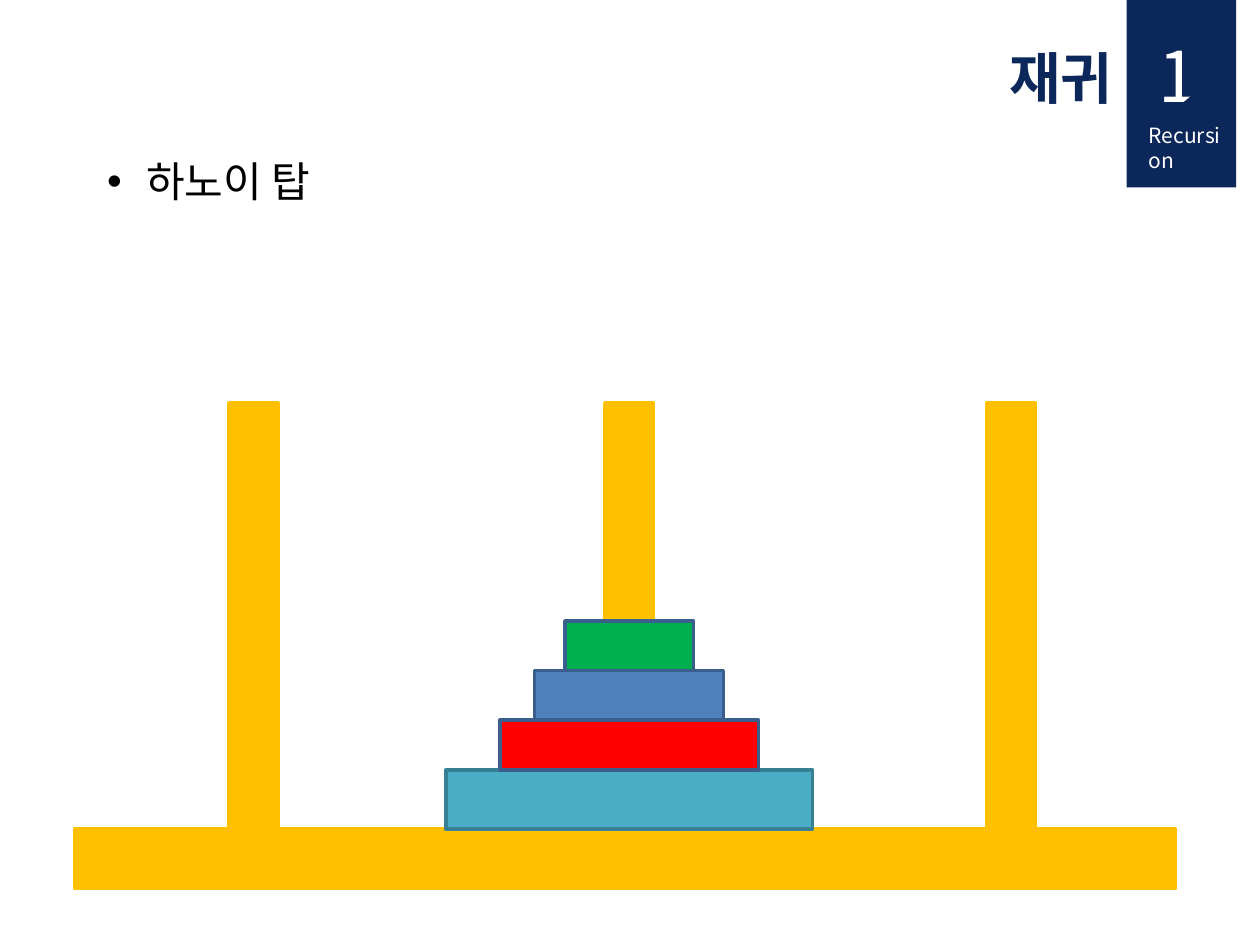
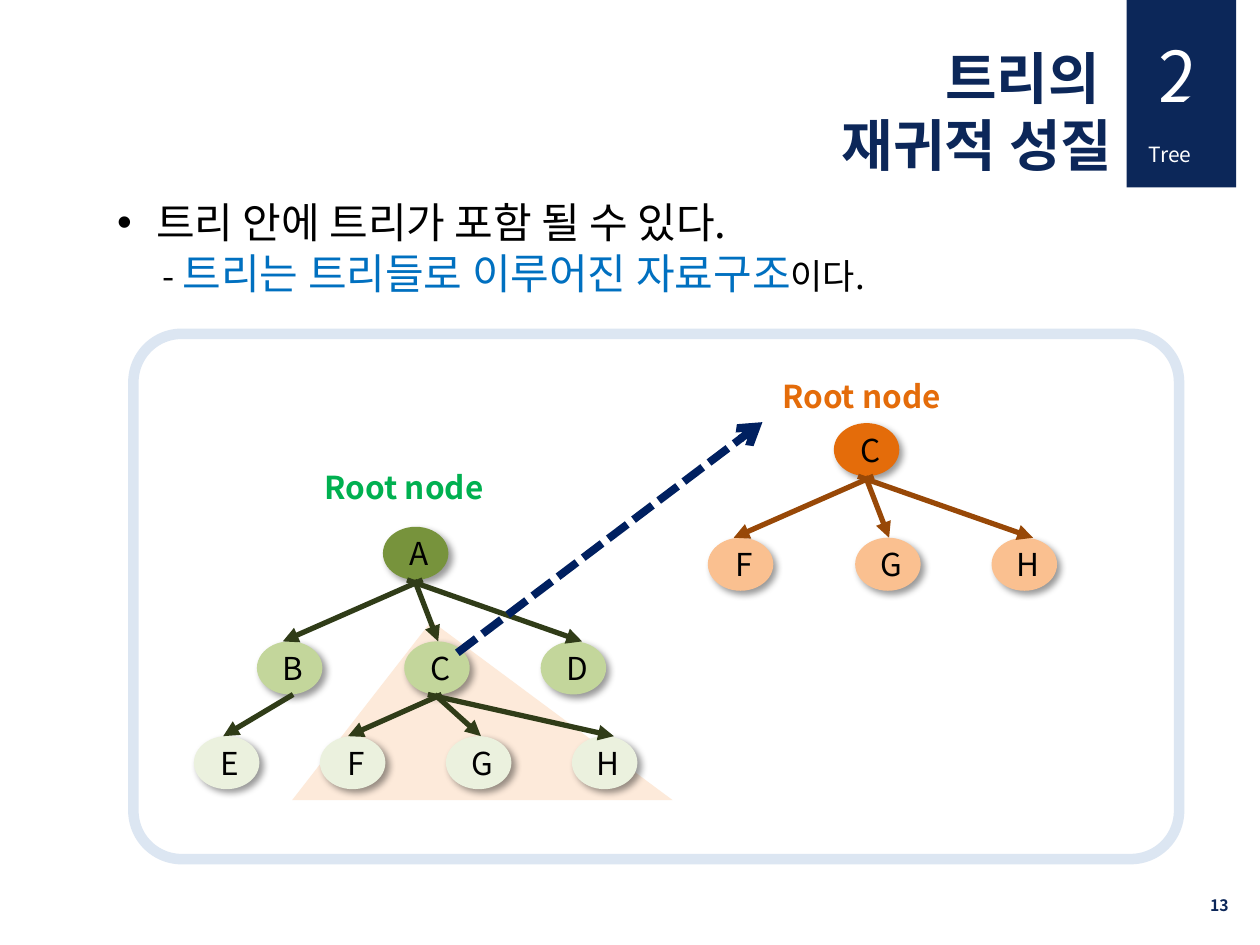
from lxml import etree
from pptx import Presentation
from pptx import util as u
from pptx.dml.color import RGBColor
from pptx.enum import dml, shapes, text
from pptx.oxml.ns import qn

FONT = "Noto Sans CJK KR"
NAVY, WHITE, BLACK, WOOD = "0C2759", "FFFFFF", "000000", "FFC000"
GREEN_ARROW, ORANGE_ARROW = "303C18", "984807"
OLIVE, LEAF, PALE = "77933C", "C3D69B", "EBF1DE"
ORANGE, PEACH = "E46C0A", "FAC090"
NODE_WIDTH, NODE_HEIGHT = 1.32, 1.07
ARROW_SPREAD = 0.055
ALIGN = text.PP_ALIGN


def colour(hex_value):
    """Turn a hex string into a colour."""
    return RGBColor.from_string(hex_value)


def add_run(paragraph, words, size, hex_value, bold=False):
    """Append one formatted run to a paragraph."""
    run = paragraph.add_run()
    run.text = words
    run.font.size = u.Pt(size)
    run.font.bold = bold
    run.font.name = FONT
    run.font.color.rgb = colour(hex_value)
    etree.SubElement(run.font._element, qn("a:ea"), typeface=FONT)


def next_paragraph(frame, index):
    """Return the first paragraph of a frame, or a new one after it."""
    return frame.add_paragraph() if index else frame.paragraphs[0]


def add_shape(slide, kind, box, fill=None, line=None, line_width=2):
    """Add a preset shape without shadow in a box given in centimetres."""
    shape = slide.shapes.add_shape(kind, *map(u.Cm, box))
    shape.shadow.inherit = False
    if fill:
        shape.fill.solid()
        shape.fill.fore_color.rgb = colour(fill)
    else:
        shape.fill.background()
    if line:
        shape.line.color.rgb = colour(line)
        shape.line.width = u.Pt(line_width)
    else:
        shape.line.fill.background()
    return shape


def add_text(slide, box, words, size, hex_value, bold=False, align=ALIGN.LEFT, wrap=True):
    """Add a one-paragraph text box and return its frame."""
    frame = slide.shapes.add_textbox(*map(u.Cm, box)).text_frame
    frame.word_wrap = wrap
    frame.paragraphs[0].alignment = align
    add_run(frame.paragraphs[0], words, size, hex_value, bold)
    return frame


def add_arrow(slide, start, end, hex_value, width=3, head="triangle", dash=None):
    """Draw a straight arrow between two points in centimetres."""
    connector = slide.shapes.add_connector(
        shapes.MSO_CONNECTOR.STRAIGHT, *map(u.Cm, (*start, *end)))
    connector.line.color.rgb = colour(hex_value)
    connector.line.width = u.Pt(width)
    if dash:
        connector.line.dash_style = dash
    etree.SubElement(connector.line._get_or_add_ln(), qn("a:tailEnd"), type=head)
    etree.SubElement(connector._element.spPr, qn("a:effectLst"))


def add_title(slide, box, lines):
    """Place and format the right-aligned title."""
    title = slide.shapes.title
    title.left, title.top, title.width, title.height = map(u.Cm, box)
    frame = title.text_frame
    frame.word_wrap = True
    frame.auto_size = text.MSO_AUTO_SIZE.NONE
    frame.vertical_anchor = text.MSO_ANCHOR.TOP
    for index, words in enumerate(lines):
        paragraph = next_paragraph(frame, index)
        paragraph.alignment = ALIGN.RIGHT
        add_run(paragraph, words, 32, NAVY, True)


def add_chapter_tab(slide, left, number, label, label_top):
    """Draw the navy corner tab with its clipped number and label."""
    add_shape(slide, shapes.MSO_SHAPE.RECTANGLE, (left, 0, 2.21, 3.78), NAVY)
    add_text(slide, (left + 0.4, 0.53, 1.6, 1.96), number, 40, WHITE)
    corner = add_shape(slide, shapes.MSO_SHAPE.ISOSCELES_TRIANGLE,
                       (left + 0.61, 1.52, 1.19, 0.99), NAVY)
    corner.adjustments[0] = 1
    add_text(slide, (left + 0.2, label_top, 2.01, 1.27), label, 12, WHITE,
             align=ALIGN.JUSTIFY)


def add_body(slide, box, paragraphs):
    """Add body paragraphs, each given as bullet, margin, indent and runs."""
    frame = slide.shapes.add_textbox(*map(u.Cm, box)).text_frame
    frame.word_wrap = True
    for index, (bullet, margin, indent, runs) in enumerate(paragraphs):
        paragraph = next_paragraph(frame, index)
        properties = paragraph._p.get_or_add_pPr()
        properties.set("marL", str(u.Cm(margin)))
        properties.set("indent", str(u.Cm(indent)))
        if bullet:
            etree.SubElement(properties, qn("a:buFont"), typeface="Arial")
            etree.SubElement(properties, qn("a:buChar"), char=bullet)
        for run in runs:
            add_run(paragraph, *run)


def add_hanoi(slide, left, top):
    """Draw three pegs on a board with the disks stacked on the middle peg."""
    rectangle = shapes.MSO_SHAPE.RECTANGLE
    peg_width, board_top = 0.99, top + 8.58
    for offset in (3.12, 10.69, 18.39):
        add_shape(slide, rectangle, (left + offset, top, peg_width, 9.19), WOOD, WOOD)
    add_shape(slide, rectangle, (left, board_top, 22.2, 1.19), WOOD, WOOD)
    centre = left + 10.69 + peg_width / 2
    disk_top = board_top
    disks = ((7.39, 1.19, "4BACC6", "377F92"), (5.21, 1, "FF0000", "3A5F8C"),
             (3.81, 1, "4F81BD", "3A5F8C"), (2.59, 1, "00B050", "3A5F8C"))
    for width, height, fill, line in disks:
        disk_top -= height
        add_shape(slide, rectangle, (centre - width / 2, disk_top, width, height), fill, line)


def add_node(slide, left, top, letter, fill):
    """Draw a round tree node with a soft shadow."""
    node = add_shape(slide, shapes.MSO_SHAPE.OVAL, (left, top, NODE_WIDTH, NODE_HEIGHT), fill)
    effects = node._element.spPr.find(qn("a:effectLst"))
    shadow = etree.SubElement(effects, qn("a:outerShdw"), blurRad=str(u.Pt(4)),
                              dist=str(u.Pt(3)), dir="2700000", algn="tl", rotWithShape="0")
    tint = etree.SubElement(shadow, qn("a:srgbClr"), val=BLACK)
    etree.SubElement(tint, qn("a:alpha"), val="40000")
    frame = node.text_frame
    frame.word_wrap = False
    frame.vertical_anchor = text.MSO_ANCHOR.MIDDLE
    frame.paragraphs[0].alignment = ALIGN.CENTER
    add_run(frame.paragraphs[0], " " + letter, 18, BLACK)


def add_tree(slide, left, top, nodes, edges, arrow_colour):
    """Draw nodes at offsets from the root and arrows from parent to child."""
    for letter, (across, down, fill) in nodes.items():
        add_node(slide, left + across, top + down, letter, fill)
    for parent, child in edges:
        parent_x, parent_y, _ = nodes[parent]
        child_x, child_y, _ = nodes[child]
        shift = ARROW_SPREAD * (child_x - parent_x)
        middle = left + NODE_WIDTH / 2
        add_arrow(slide, (middle + parent_x - shift, top + parent_y + NODE_HEIGHT),
                  (middle + child_x + shift, top + child_y), arrow_colour)


def branch(root, children, root_fill, child_fill):
    """Return the nodes of a root with three children below it."""
    nodes = {root: (0, 0, root_fill)}
    for letter, across in zip(children, (-2.54, 0.43, 3.18)):
        nodes[letter] = (across, 2.31, child_fill)
    return nodes


def add_tree_panel(slide, left, top):
    """Draw the framed panel with the full tree and the subtree taken out of it."""
    subtree = add_shape(slide, shapes.MSO_SHAPE.ISOSCELES_TRIANGLE,
                        (left + 3.2, top + 5.79, 7.67, 3.61), "FDEADA")
    subtree.adjustments[0] = 0.366
    frame = add_shape(slide, shapes.MSO_SHAPE.ROUNDED_RECTANGLE,
                      (left, top, 21.08, 10.59), line="DCE6F2", line_width=6)
    frame.adjustments[0] = 0.092
    nodes = branch("A", "BCD", OLIVE, LEAF)
    for index, letter in enumerate("EFGH"):
        nodes[letter] = (2.54 * index - 3.81, 4.22, PALE)
    add_tree(slide, left + 5.03, top + 3.89, nodes,
             ("AB", "AC", "AD", "BE", "CF", "CG", "CH"), GREEN_ARROW)
    add_tree(slide, left + 14.12, top + 1.8, branch("C", "FGH", ORANGE, PEACH),
             ("CF", "CG", "CH"), ORANGE_ARROW)
    for across, down, hex_value in ((3.61, 2.59, "00B050"), (12.83, 0.74, ORANGE)):
        add_text(slide, (left + across, top + down, 4.19, 1.02), "Root node", 18,
                 hex_value, True, wrap=False)
    add_arrow(slide, (left + 6.53, top + 6.43), (left + 12.68, top + 1.78), "002060",
              4.5, "arrow", dml.MSO_LINE.SQUARE_DOT)


def build_hanoi_slide(slide):
    """Build the slide on recursion."""
    add_title(slide, (16.56, 0.74, 6.12, 1.63), ["재귀"])
    add_chapter_tab(slide, 22.71, "1", "Recursion", 2.34)
    add_body(slide, (1.91, 3.02, 19.61, 1.27),
             [("•", 0.79, -0.79, [("하노이 탑", 24, BLACK)])])
    add_hanoi(slide, 1.5, 8.13)


def build_tree_slide(slide):
    """Build the slide on the recursive nature of trees."""
    add_title(slide, (15.09, 0.74, 7.59, 3), ["트리의 ", "재귀적 성질"])
    add_chapter_tab(slide, 22.71, "2", "Tree", 2.72)
    add_body(slide, (2.11, 3.84, 18.59, 2.31), [
        ("•", 0.79, -0.79, [("트리 안에 트리가 포함 될 수 있다.", 24, BLACK)]),
        (None, 0.92, 0, [("- ", 20, BLACK),
                         ("트리는 트리들로 이루어진 자료구조", 24, "0070C0"),
                         ("이다.", 20, BLACK)])])
    add_tree_panel(slide, 2.69, 6.73)
    number = add_text(slide, (19.1, 17.73, 5.92, 1.02), "13", 9, NAVY, True, ALIGN.RIGHT)
    number.vertical_anchor = text.MSO_ANCHOR.MIDDLE


def main():
    """Create the presentation and save it."""
    presentation = Presentation()
    presentation.slide_width, presentation.slide_height = u.Cm(25.4), u.Cm(19.05)
    title_only = presentation.slide_layouts[5]
    for build in (build_hanoi_slide, build_tree_slide):
        build(presentation.slides.add_slide(title_only))
    presentation.save("out.pptx")


if __name__ == "__main__":
    main()
